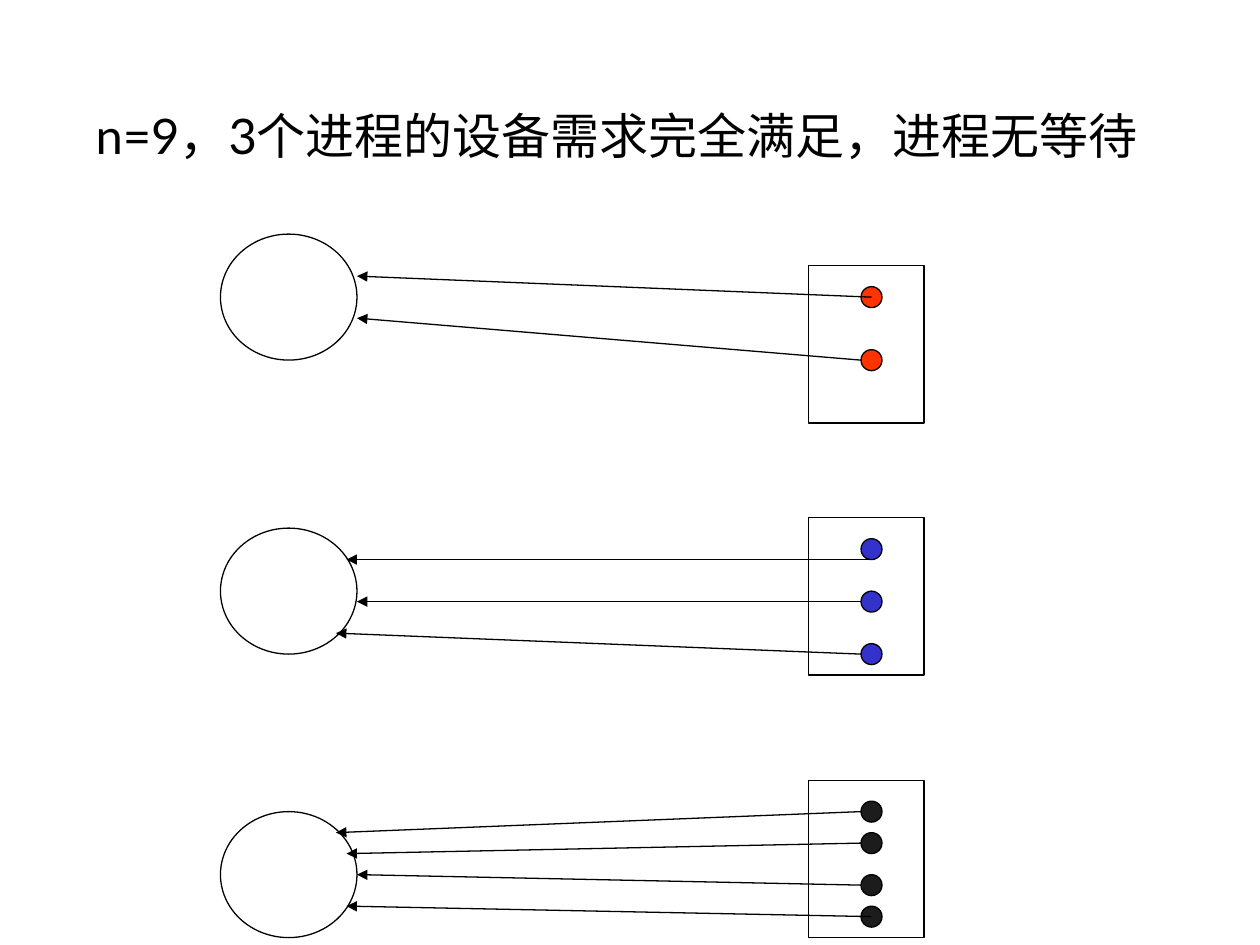
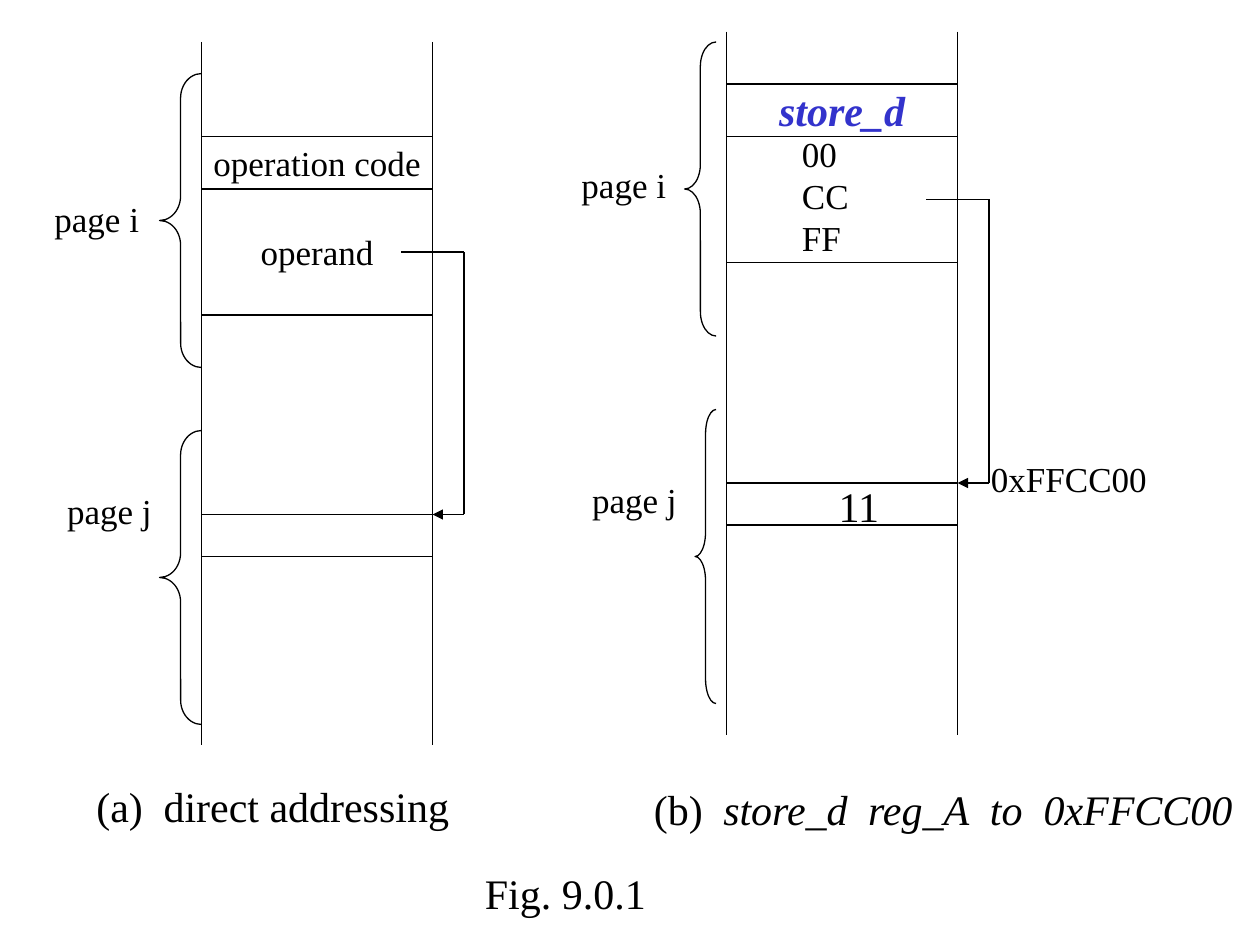
import pptx
import pptx.util
import pptx.dml.color
import pptx.enum.shapes
import pptx.enum.text
import pptx.oxml
import pptx.oxml.ns
from dataclasses import dataclass

PX = 7620  # EMU in one px, 120 px to the inch
SLIDE_W, SLIDE_H = 1200, 900


@dataclass(frozen=True)
class Theme:
    ink: str = "000000"
    paper: str = "FFFFFF"
    red: str = "FF3300"
    blue: str = "3333CC"
    black: str = "1C1C1C"
    title_font: str = "Lato"
    body_font: str = "Times New Roman"
    title: int = 28
    large: int = 24
    small: int = 20
    line: float = 0.75


T = Theme()
SHAPE = pptx.enum.shapes.MSO_SHAPE
ANCHOR = pptx.enum.text.MSO_ANCHOR
ALIGN = pptx.enum.text.PP_ALIGN
FIT = pptx.enum.text.MSO_AUTO_SIZE

# ---- Content: processes and their devices ----
TITLE = "n=9，3个进程的设备需求完全满足，进程无等待"
TITLE_BOX = (79, 94, 1051, 68)
PROCESS_X, PROCESS_W, PROCESS_H = 210, 130, 120
POOL_X, POOL_W, POOL_H = 770, 110, 150
DEVICE_X, DEVICE_D = 820, 20
# devices: centre y; arrows: from x, from y, to x, to y
PROCESSES = [
    dict(y=223, pool_y=253, color=T.red, devices=[283, 343],
         arrows=[(830, 283, 340, 263), (820, 343, 340, 303)]),
    dict(y=503, pool_y=493, color=T.blue, devices=[523, 573, 623],
         arrows=[(830, 533, 330, 533), (820, 573, 340, 573),
                 (820, 623, 320, 603)]),
    dict(y=773, pool_y=743, color=T.black, devices=[773, 803, 843, 873],
         arrows=[(820, 773, 320, 793), (820, 803, 330, 813),
                 (820, 843, 340, 833), (830, 873, 330, 863)]),
]

# ---- Content: memory columns ----
COLUMN_W, RAIL_H, BRACE_H, POINTER_REACH = 220, 670, 280, 30
SMALL = dict(size=T.small)
LARGE = dict(size=T.large)
# cells: top, height, text, format; braces: left, top, width
# labels: box, text, format
COLUMNS = [
    dict(x=192, top=40, pointer=(240, 490),
         cells=[(130, 50, "operation code", SMALL),
                (180, 120, "operand", SMALL),
                (490, 40, "", SMALL)],
         braces=[(152, 70, 40), (152, 410, 40)],
         labels=[((40, 182, 112, 53), "page i", SMALL),
                 ((52, 460, 112, 53), "page j", SMALL),
                 ((80, 737, 370, 60), "direct addressing",
                  dict(size=T.large, lead="(a)\t", tabs=[64]))]),
    dict(x=692, top=30, pointer=(190, 460),
         cells=[(80, 50, "store_d",
                 dict(size=T.large, color=T.blue, bold=True, italic=True)),
                (130, 120, "", SMALL),
                (460, 40, "", SMALL)],
         braces=[(652, 40, 30), (662, 390, 20)],
         labels=[((542, 150, 112, 53), "page i", SMALL),
                 ((552, 450, 112, 53), "page j", SMALL),
                 ((752, 120, 80, 132), "00\nCC\nFF", SMALL),
                 ((932, 430, 190, 53), "0xFFCC00", SMALL),
                 ((787, 452, 76, 60), "11", LARGE),
                 ((611, 740, 589, 60), "store_d\treg_A\tto\t0xFFCC00",
                  dict(size=T.large, lead="(b)\t", italic=True,
                       tabs=[66, 204, 320, 371]))]),
]
FIGURE = ((450, 820, 200, 60), "Fig. 9.0.1", LARGE)


# ---- Helpers ----
def emu(*lengths):
    return [pptx.util.Emu(round(v * PX)) for v in lengths]


def rgb(color):
    return pptx.dml.color.RGBColor.from_string(color)


def add_child(parent, tag, **attrs):
    el = pptx.oxml.parse_xml(f"<{tag} {pptx.oxml.ns.nsdecls('a')}/>")
    for name, value in attrs.items():
        el.set(name, str(value))
    parent.append(el)
    return el


def write(tf, text, size=T.small, font=T.body_font, color=T.ink, bold=False,
          italic=False, align=ALIGN.LEFT, anchor=ANCHOR.TOP, lead="", tabs=(),
          wrap=False):
    """Fill a frame, one paragraph a line; lead is an upright first run."""
    tf.auto_size = FIT.NONE
    tf.word_wrap = wrap
    tf.vertical_anchor = anchor
    for i, line in enumerate(text.split("\n")):
        p = tf.paragraphs[0] if i == 0 else tf.add_paragraph()
        p.alignment = align
        if tabs:
            stops = add_child(p._p.get_or_add_pPr(), "a:tabLst")
            for pos in emu(*tabs):
                add_child(stops, "a:tab", pos=int(pos), algn="l")
        for part, slanted in ((lead, False), (line, italic)):
            if part:
                r = p.add_run()
                r.text = part
                r.font.size = pptx.util.Pt(size)
                r.font.name = font
                r.font.bold = bold
                r.font.italic = slanted
                r.font.color.rgb = rgb(color)


def add_label(s, box, text, fmt):
    write(s.shapes.add_textbox(*emu(*box)).text_frame, text, wrap=True, **fmt)


def outline(shape):
    shape.line.color.rgb = rgb(T.ink)
    shape.line.width = pptx.util.Pt(T.line)


def add_shape(s, kind, box, fill=None):
    sp = s.shapes.add_shape(kind, *emu(*box))
    sp.shadow.inherit = False
    if fill:
        sp.fill.solid()
        sp.fill.fore_color.rgb = rgb(fill)
    else:
        sp.fill.background()
    outline(sp)
    return sp


def add_line(s, x1, y1, x2, y2, arrow=False):
    c = s.shapes.add_connector(pptx.enum.shapes.MSO_CONNECTOR.STRAIGHT,
                               *emu(x1, y1, x2, y2))
    outline(c)
    spPr = c._element.spPr
    if arrow:
        add_child(spPr.find(pptx.oxml.ns.qn("a:ln")), "a:tailEnd",
                  type="triangle")
    add_child(spPr, "a:effectLst")


# ---- Slides ----
def build_process_slide(prs):
    s = prs.slides.add_slide(prs.slide_layouts[5])
    title = s.shapes.title
    title.left, title.top, title.width, title.height = emu(*TITLE_BOX)
    write(title.text_frame, TITLE, size=T.title, font=T.title_font)

    for process in PROCESSES:
        add_shape(s, SHAPE.OVAL, (PROCESS_X, process["y"], PROCESS_W, PROCESS_H))
        add_shape(s, SHAPE.RECTANGLE,
                  (POOL_X, process["pool_y"], POOL_W, POOL_H))
        for y in process["devices"]:
            add_shape(s, SHAPE.OVAL,
                      (DEVICE_X, y - DEVICE_D / 2, DEVICE_D, DEVICE_D),
                      process["color"])
        for arrow in process["arrows"]:
            add_line(s, *arrow, arrow=True)


def build_memory_slide(prs):
    s = prs.slides.add_slide(prs.slide_layouts[6])
    for column in COLUMNS:
        left, right = column["x"], column["x"] + COLUMN_W
        for top, height, text, fmt in column["cells"]:
            cell = add_shape(s, SHAPE.RECTANGLE, (left, top, COLUMN_W, height),
                             T.paper)
            if text:
                write(cell.text_frame, text, align=ALIGN.CENTER,
                      anchor=ANCHOR.MIDDLE, **fmt)
        # side rails
        for x in (left, right):
            add_line(s, x, column["top"], x, column["top"] + RAIL_H)
        # pointer from the operand to the addressed cell
        start, end = column["pointer"]
        outer = right + POINTER_REACH
        add_line(s, right - POINTER_REACH, start, outer, start)
        add_line(s, outer, start, outer, end)
        add_line(s, outer, end, right, end, arrow=True)
        # page braces, with the same curve height at every width
        for x, y, width in column["braces"]:
            brace = add_shape(s, SHAPE.LEFT_BRACE, (x, y, width, BRACE_H))
            brace.adjustments[0] = BRACE_H / 12 / width
        for label in column["labels"]:
            add_label(s, *label)
    add_label(s, *FIGURE)


def main():
    prs = pptx.Presentation()
    prs.slide_width, prs.slide_height = emu(SLIDE_W, SLIDE_H)
    build_process_slide(prs)
    build_memory_slide(prs)
    prs.save("out.pptx")


if __name__ == "__main__":
    main()
